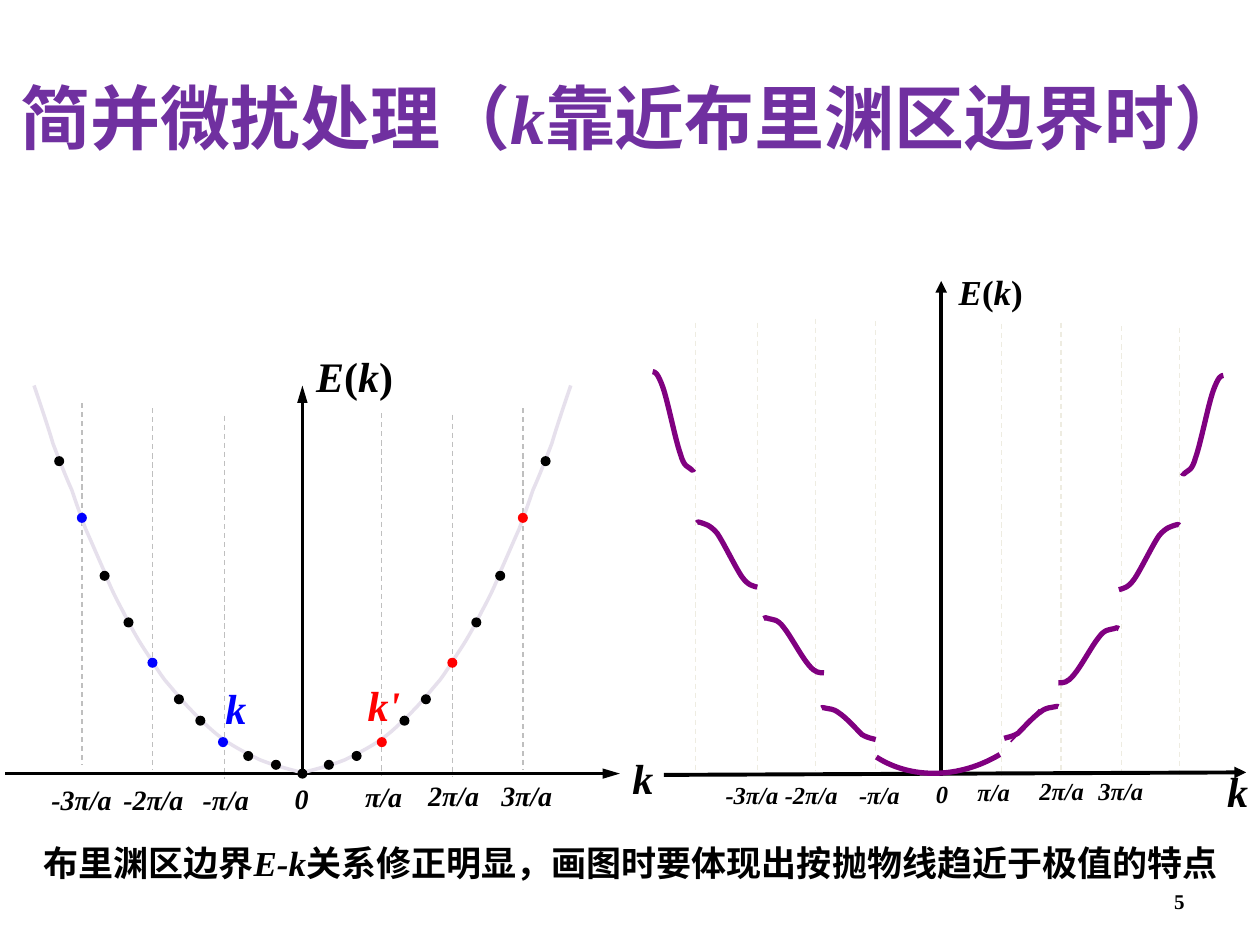
from copy import deepcopy
from math import cos, radians, sin

from lxml.etree import SubElement
from pptx import Presentation
from pptx.dml.color import RGBColor
from pptx.enum.dml import MSO_LINE
from pptx.enum.shapes import MSO_CONNECTOR, MSO_SHAPE
from pptx.enum.text import MSO_ANCHOR, MSO_AUTO_SIZE, PP_ALIGN
from pptx.oxml.ns import qn
from pptx.util import Pt

EMU_PER_PX = 9144  # 100 px to the inch
LATIN, CHINESE = "Times New Roman", "Noto Sans CJK SC"

BLACK = RGBColor(0, 0, 0)
RED = RGBColor(0xFF, 0, 0)
BLUE = RGBColor(0, 0, 0xFF)
TITLE_PURPLE = RGBColor(0x70, 0x30, 0xA0)
BAND_PURPLE = RGBColor(0x80, 0, 0x80)
PALE_LILAC = RGBColor(0xE6, 0xE0, 0xEC)
GREY = RGBColor(0xBF, 0xBF, 0xBF)
IVORY = RGBColor(0xEE, 0xEC, 0xE1)

# Runs are (text, italic)
TITLE = [("简并微扰处理（", False), ("k", True), ("靠近布里渊区边界时）", False)]
CAPTION = [("布里渊区边界", False), ("E-k", True),
           ("关系修正明显，画图时要体现出按抛物线趋近于极值的特点", False)]
ENERGY = [("E", True), ("(", False), ("k", True), (")", False)]

# Zone boundaries: x, top, bottom
LEFT_BOUNDARIES = [(65, 320, 607), (121, 324, 611), (178, 330, 618),
                   (303, 328, 616), (359, 329, 616), (415, 324, 611)]
RIGHT_BOUNDARIES = [(552, 256, 614), (601, 256, 614), (647, 253, 612), (695, 255, 613),
                    (795, 257, 616), (842, 256, 614), (890, 259, 617), (936, 260, 619)]

# Axes: start, end, width in points, arrow length
AXES = [((4, 614), (492, 614), 1.5, "lg"), ((240, 614), (240, 306), 1.5, "lg"),
        ((747, 616), (747, 223), 2.25, "med"), ((527, 615), (989, 613), 2.25, "med")]

# Free-electron parabola, right half: start point, then Bezier triples
LEFT_MIRROR = 480
PARABOLA = [(241, 613), (253, 610), (264, 607), (274, 603), (284, 598), (292, 594), (301, 588),
            (310, 582), (319, 573), (327, 565), (335, 557), (342, 548), (349, 540),
            (355, 532), (359, 525), (365, 516), (371, 507), (377, 496), (382, 486),
            (388, 475), (393, 465), (397, 454), (402, 443), (407, 431), (412, 420),
            (416, 409), (419, 401), (423, 389), (428, 378), (433, 365), (438, 352),
            (442, 338), (453, 306), (453, 306)]

# Dot centres, right half; every third state is on a zone boundary
DOT_SIZE = 8
DOTS = [(261, 607), (283, 600), (303, 589), (321, 572), (338, 555),
        (359, 526), (378, 494), (397, 457), (415, 411), (433, 366)]

# Perturbed bands, right half: Bezier points, mirror sum in x, shift in y
BANDS = [
    ([(840, 561), (840, 561), (839, 560), (837, 561), (834, 562), (831, 561), (826, 565),
      (821, 568), (812, 578), (808, 582), (803, 585), (800, 585), (797, 586)], 1492, 1),
    ([(888, 499), (887, 498), (886, 498), (884, 499), (881, 500), (877, 499), (872, 506),
      (867, 512), (858, 529), (852, 536), (847, 542), (844, 542), (840, 542)], 1494, -8),
    ([(936, 417), (936, 416), (935, 416), (932, 417), (930, 418), (926, 418), (920, 425),
      (915, 432), (905, 453), (900, 460), (895, 467), (891, 467), (888, 468)], 1489, -2),
    ([(938, 375), (939, 376), (939, 377), (941, 375), (943, 373), (946, 374), (949, 363),
      (953, 352), (959, 321), (963, 310), (967, 299), (969, 298), (971, 298)], 1489, -3),
]
PARABOLA_REMNANT = [(825, 563), (816, 574), (806, 585), (802, 589)]
# The lowest band is a turned arc: its Bezier points, then the arc's centre
LOWEST_BAND = [(794, 598), (762, 617), (724, 618), (696, 600), (754, 515)]
LOWEST_BAND_PIVOT, LOWEST_BAND_TURN = (751, 582), 132.6

# Tick labels by size in points: text, left, top, width
TICKS = {
    16: [("-3π/a", 31, 616, 69), ("-2π/a", 88, 616, 69), ("-π/a", 151, 616, 57),
         ("0", 224, 615, 31), ("π/a", 280, 614, 50), ("2π/a", 330, 613, 61),
         ("3π/a", 388, 613, 61)],
    14: [("-3π/a", 566, 614, 62), ("-2π/a", 613, 614, 62), ("-π/a", 672, 614, 53),
         ("0", 733, 613, 30), ("π/a", 766, 612, 46), ("2π/a", 815, 611, 56),
         ("3π/a", 862, 611, 56)],
}
# Symbols: runs, left, top, width, size, colour
SYMBOLS = [([("k", True)], 492, 592, 37, 24, BLACK), (ENERGY, 241, 273, 82, 24, BLACK),
           ([("k", True)], 169, 537, 37, 24, BLUE), ([("k'", True)], 282, 534, 46, 24, RED),
           (ENERGY, 751, 210, 72, 20, BLACK), ([("k", True)], 964, 603, 37, 24, BLACK)]
BOX_HEIGHT = {14: 34, 16: 37, 20: 44, 24: 51}


def px(*lengths):
    return [round(length * EMU_PER_PX) for length in lengths]


def add_text(box, runs, size, color=BLACK, align=PP_ALIGN.LEFT,
             anchor=MSO_ANCHOR.TOP, wrap=False):
    frame = slide.shapes.add_textbox(*px(*box)).text_frame
    frame.word_wrap, frame.vertical_anchor = wrap, anchor
    frame.auto_size = MSO_AUTO_SIZE.NONE if wrap else MSO_AUTO_SIZE.SHAPE_TO_FIT_TEXT
    paragraph = frame.paragraphs[0]
    paragraph.alignment = align
    for text, italic in runs:
        run = paragraph.add_run()
        run.text = text
        font_format = {"name": LATIN, "size": Pt(size), "bold": True, "italic": italic}
        for name, value in font_format.items():
            setattr(run.font, name, value)
        run.font.color.rgb = color
        SubElement(run.font._element, qn("a:ea"), typeface=CHINESE)


def style_line(line, color, width, dashed=False):
    line.color.rgb, line.width = color, Pt(width)
    if dashed:
        line.dash_style = MSO_LINE.DASH


def add_line(start, end, color, width, dashed=False, arrow=None):
    connector = slide.shapes.add_connector(MSO_CONNECTOR.STRAIGHT, *px(*start, *end))
    style_line(connector.line, color, width, dashed)
    if arrow:
        SubElement(connector.line._get_or_add_ln(), qn("a:tailEnd"),
                   type="triangle", w="med", len=arrow)
    SubElement(connector._element.spPr, qn("a:effectLst"))


def add_curve(points, color, width, dashed=False, closed=False):
    """Draw a chain of cubic Bezier segments; a point left over ends a straight side."""
    start, *rest = [px(*point) for point in points]
    builder = slide.shapes.build_freeform(*start)
    builder.add_line_segments(rest, close=closed)
    shape = builder.convert_to_shape()
    shape.shadow.inherit = False
    shape.fill.background()
    style_line(shape.line, color, width, dashed)
    outline = next(shape._element.iter(qn("a:path")))
    sides = outline.findall(qn("a:lnTo"))
    for first, second, third in zip(sides[::3], sides[1::3], sides[2::3]):
        first.tag = qn("a:cubicBezTo")
        for side in (second, third):
            first.append(side[0])
            outline.remove(side)
    return shape, outline


def add_arc(points, pivot, turn, color, width):
    """Draw only the curved side of a turned sector."""
    cosine, sine = cos(radians(turn)), sin(radians(turn))
    offsets = [(x - pivot[0], y - pivot[1]) for x, y in points]
    unturned = [(pivot[0] + x * cosine + y * sine, pivot[1] - x * sine + y * cosine)
                for x, y in offsets]
    shape, outline = add_curve(unturned, color, width, closed=True)
    shape.rotation = turn
    sector = deepcopy(outline)
    sector.set("stroke", "0")
    outline.addnext(sector)
    outline.set("fill", "none")
    for side in outline[2:]:
        outline.remove(side)


def mirrored(points, mirror_sum, shift=0):
    return [(mirror_sum - x, y + shift) for x, y in points]


def add_dot(center, color):
    x, y = center
    dot = slide.shapes.add_shape(MSO_SHAPE.FLOWCHART_CONNECTOR,
                                 *px(x - DOT_SIZE / 2, y - DOT_SIZE / 2, DOT_SIZE, DOT_SIZE))
    dot.shadow.inherit = False
    dot.fill.solid()
    dot.fill.fore_color.rgb = color
    dot.line.fill.background()


presentation = Presentation()
presentation.slide_width, presentation.slide_height = px(1000, 750)
slide = presentation.slides.add_slide(presentation.slide_layouts[6])

# Title, caption and page number
add_text((4, 30, 996, 125), TITLE, 40, TITLE_PURPLE, PP_ALIGN.CENTER, MSO_ANCHOR.MIDDLE, True)
add_text((19, 663, 963, 44), CAPTION, 20, align=PP_ALIGN.CENTER, wrap=True)
add_text((717, 695, 233, 40), [("5", False)], 12, align=PP_ALIGN.RIGHT,
         anchor=MSO_ANCHOR.MIDDLE, wrap=True)

# Zone boundaries and axes
for boundaries, color in ((LEFT_BOUNDARIES, GREY), (RIGHT_BOUNDARIES, IVORY)):
    for x, top, bottom in boundaries:
        add_line((x, top), (x, bottom), color, 0.75, dashed=True)
for start, end, width, arrow in AXES:
    add_line(start, end, BLACK, width, arrow=arrow)

# Left diagram: parabola with its states
for half in (PARABOLA, mirrored(PARABOLA, LEFT_MIRROR)):
    add_curve(half, PALE_LILAC, 2)
add_dot((240, 614), BLACK)
for centers, boundary_color in ((DOTS, RED), (mirrored(DOTS, LEFT_MIRROR), BLUE)):
    for number, center in enumerate(centers, 1):
        add_dot(center, BLACK if number % 3 else boundary_color)

# Right diagram: bands split by gaps
add_arc(LOWEST_BAND, LOWEST_BAND_PIVOT, LOWEST_BAND_TURN, BAND_PURPLE, 3)
add_curve(PARABOLA_REMNANT, BAND_PURPLE, 1, dashed=True)
for band, mirror_sum, shift in BANDS:
    add_curve(band, BAND_PURPLE, 3)
    add_curve(mirrored(band, mirror_sum, shift), BAND_PURPLE, 3)

# Labels
for size, ticks in TICKS.items():
    for text, left, top, width in ticks:
        add_text((left, top, width, BOX_HEIGHT[size]), [(text, True)], size)
for runs, left, top, width, size, color in SYMBOLS:
    add_text((left, top, width, BOX_HEIGHT[size]), runs, size, color)

presentation.save("out.pptx")
